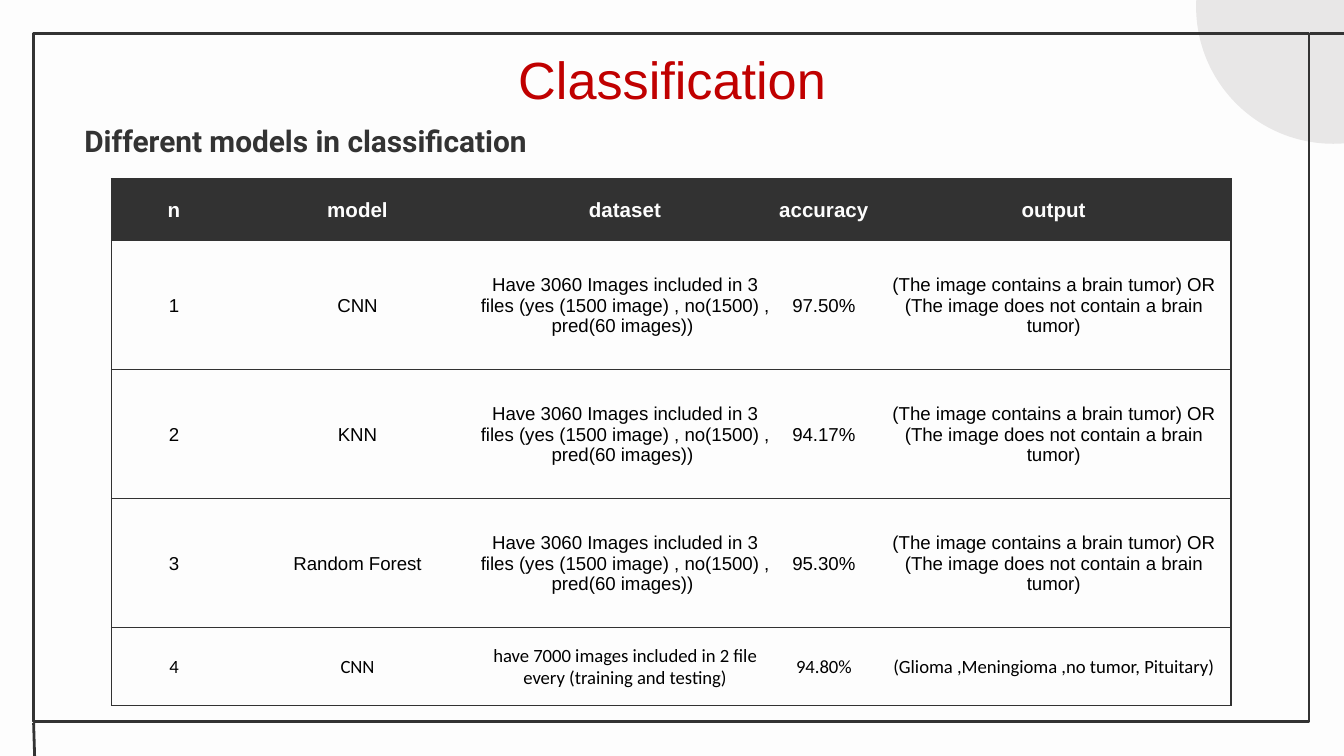
from dataclasses import dataclass

from lxml import etree
from pptx import Presentation
from pptx.dml.color import RGBColor
from pptx.enum.shapes import MSO_CONNECTOR, MSO_SHAPE
from pptx.enum.text import MSO_ANCHOR, PP_ALIGN
from pptx.oxml.ns import qn
from pptx.util import Inches, Pt

LINE = MSO_CONNECTOR.STRAIGHT
OVAL, RECT = MSO_SHAPE.OVAL, MSO_SHAPE.RECTANGLE
MIDDLE = MSO_ANCHOR.MIDDLE
LEFT, CENTER = PP_ALIGN.LEFT, PP_ALIGN.CENTER


@dataclass(frozen=True)
class Theme:
    paper: str = "FDFDFD"
    ink: str = "333333"
    grid: str = "323232"
    disc: str = "E8E7E7"
    red: str = "C00000"
    black: str = "000000"
    title: int = 28
    lead: int = 16
    head: int = 11
    body: int = 10
    frame: float = 1.5
    rule: float = 0.75


THEME = Theme()
WIDTHS = [0.93, 1.8, 2.18, 0.78, 2.64]
HEIGHTS = [0.46, 0.96, 0.96, 0.96, 0.58]
HEADS = ["n", "model", "dataset", "accuracy", "output"]
FILES = "Have 3060 Images included in 3 files (yes (1500 image) , no(1500) , pred(60 images)) "
TUMOR = "(The image contains a brain tumor) OR (The image does not contain a brain tumor)"
MODELS = [
    ("CNN", FILES, "97.50%", TUMOR),
    ("KNN", FILES, "94.17%", TUMOR),
    ("Random Forest", FILES, "95.30%", TUMOR),
    ("CNN", "have 7000 images included in 2 file every (training and testing)",
     "94.80%", "(Glioma ,Meningioma ,no tumor, Pituitary)"),
]


def rgb(code):
    return RGBColor.from_string(code)


def apply(item, values):
    for name, value in values.items():
        setattr(item, name, value)


def write(frame, text, color, font, align=CENTER, **layout):
    para = frame.paragraphs[0]
    apply(para, {"alignment": align, **layout})
    run = para.add_run()
    run.text = text
    apply(run.font, {**font, "size": Pt(font["size"])})
    run.font.color.rgb = rgb(color)


def add_text(slide, box, *words, **layout):
    frame = slide.shapes.add_textbox(*map(Inches, box)).text_frame
    pad = Inches(0.1)
    apply(frame, {"word_wrap": True, "margin_left": pad, "margin_right": pad,
                  "margin_top": pad, "margin_bottom": pad})
    write(frame, *words, **layout)


def add_shape(slide, kind, box, fill=None, line=None):
    shape = slide.shapes.add_shape(kind, *map(Inches, box))
    shape.shadow.inherit = False
    if fill:
        shape.fill.solid()
        shape.fill.fore_color.rgb = rgb(fill)
    else:
        shape.fill.background()
    if line:
        shape.line.color.rgb = rgb(line)
        shape.line.width = Pt(THEME.frame)
    else:
        shape.line.fill.background()


def add_line(slide, ends):
    line = slide.shapes.add_connector(LINE, *map(Inches, ends))
    line.line.color.rgb = rgb(THEME.ink)
    line.line.width = Pt(THEME.frame)
    etree.SubElement(line._element.spPr, qn("a:effectLst"))


def add_edge(cell, side, shown):
    edge = etree.SubElement(cell._tc.get_or_add_tcPr(), qn(f"a:ln{side}"))
    if shown:
        edge.set("w", str(Pt(THEME.rule)))
        fill = etree.SubElement(edge, qn("a:solidFill"))
        etree.SubElement(fill, qn("a:srgbClr"), val=THEME.grid)
    else:
        etree.SubElement(edge, qn("a:noFill"))


def fill_cell(cell, text, row, col):
    head = row == 0
    pad = Inches(0.01)
    apply(cell, {"vertical_anchor": MIDDLE, "margin_left": pad,
                 "margin_right": pad, "margin_top": pad, "margin_bottom": 0})
    edges = {"L": col == 0, "R": col == len(WIDTHS) - 1, "T": True, "B": True}
    for side, shown in edges.items():
        add_edge(cell, side, shown)
    if head:
        cell.fill.solid()
        cell.fill.fore_color.rgb = rgb(THEME.grid)
    else:
        cell.fill.background()
    font = {"name": "Calibri" if row == len(MODELS) else "Arial",
            "size": THEME.head if head else THEME.body, "bold": head}
    write(cell.text_frame, text, THEME.paper if head else THEME.black, font)


def add_grid(slide, left, top):
    rows = [HEADS] + [(str(n), *model) for n, model in enumerate(MODELS, 1)]
    box = (left, top, sum(WIDTHS), sum(HEIGHTS))
    table = slide.shapes.add_table(len(rows), len(WIDTHS), *map(Inches, box)).table
    table.horz_banding = False
    for col, width in zip(table.columns, WIDTHS):
        col.width = Inches(width)
    for row, height in zip(table.rows, HEIGHTS):
        row.height = Inches(height)
    for r, row in enumerate(rows):
        for c, text in enumerate(row):
            fill_cell(table.cell(r, c), text, r, c)


def main():
    deck = Presentation()
    wide = Inches(10)
    apply(deck, {"slide_width": wide, "slide_height": wide * 9 // 16})
    slide = deck.slides.add_slide(deck.slide_layouts[6])
    slide.background.fill.solid()
    slide.background.fill.fore_color.rgb = rgb(THEME.paper)

    add_shape(slide, OVAL, (8.9, -0.97, 2.04, 2.04), fill=THEME.disc)
    add_shape(slide, RECT, (0.25, 0.25, 9.49, 5.12), line=THEME.ink)
    add_line(slide, (9.75, 0.25, 10.15, 0.25))
    add_line(slide, (0.25, 5.38, 0.26, 5.7))
    add_text(slide, (0.53, 0.77, 8.93, 3.31), "Different models in classification",
             THEME.ink, {"name": "Roboto", "size": THEME.lead, "bold": True},
             align=LEFT, line_spacing=1.15)
    add_grid(slide, 0.83, 1.33)
    add_text(slide, (0.27, 0.25, 9.46, 0.63), "Classification",
             THEME.red, {"name": "Arial", "size": THEME.title})
    deck.save("out.pptx")


if __name__ == "__main__":
    main()
